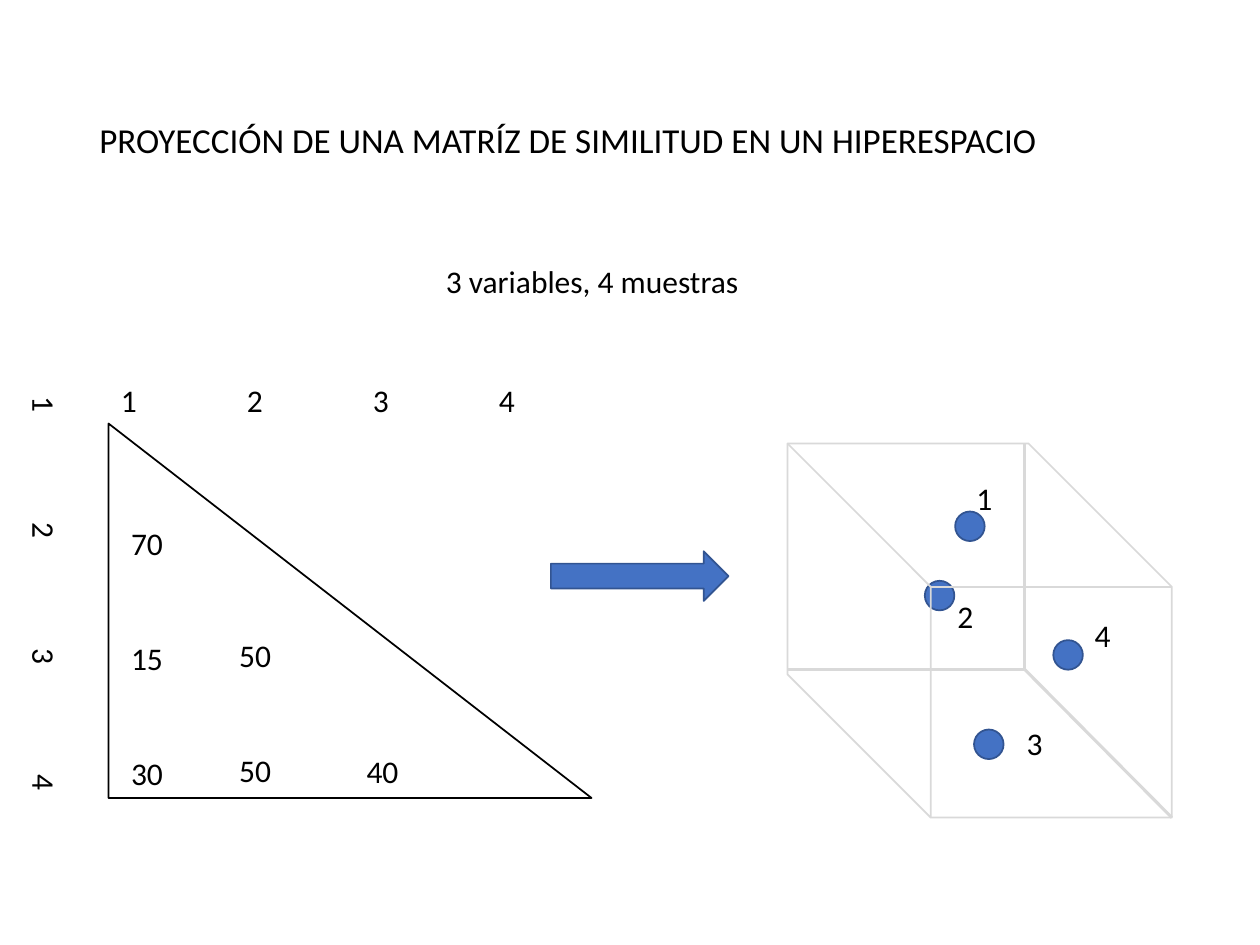
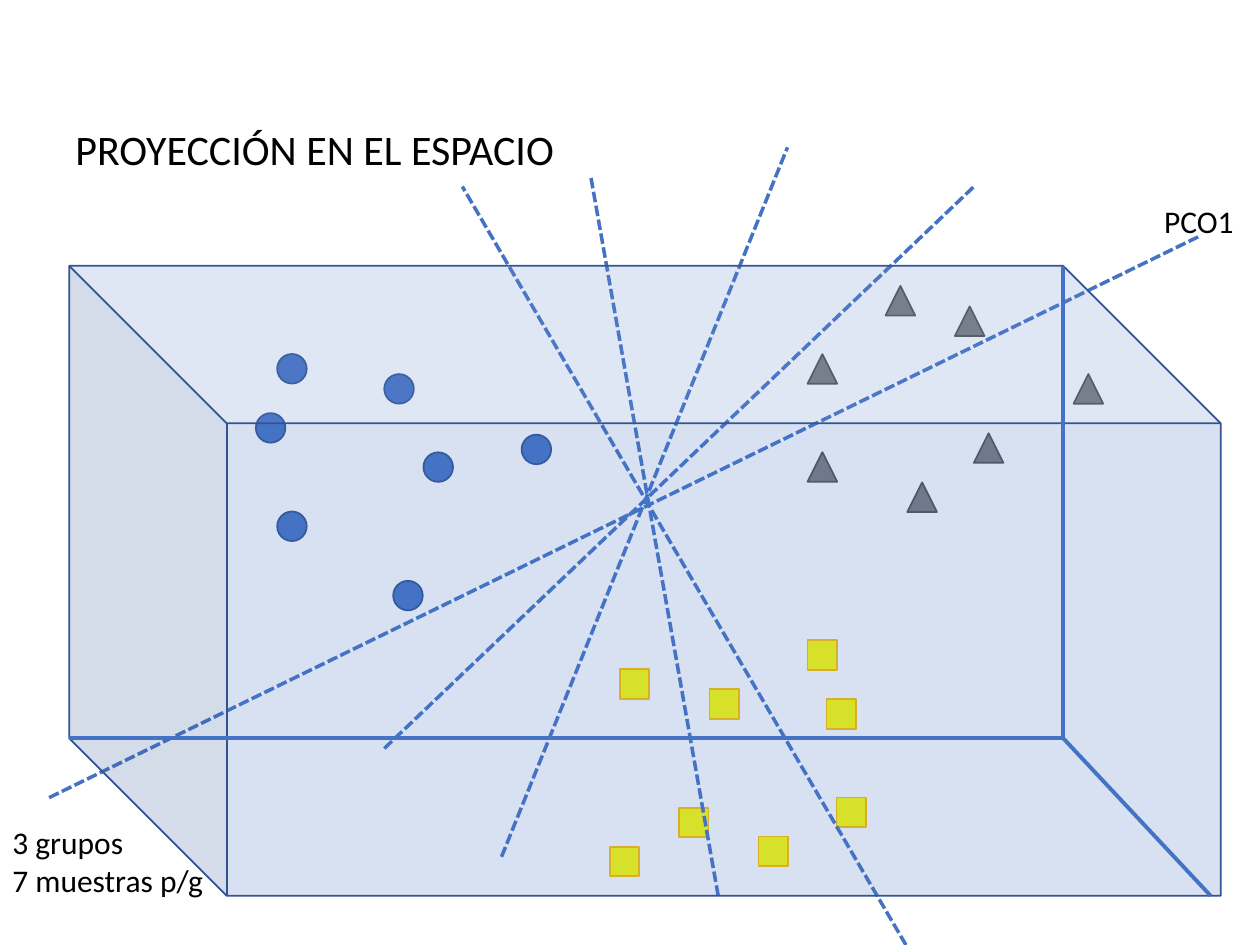
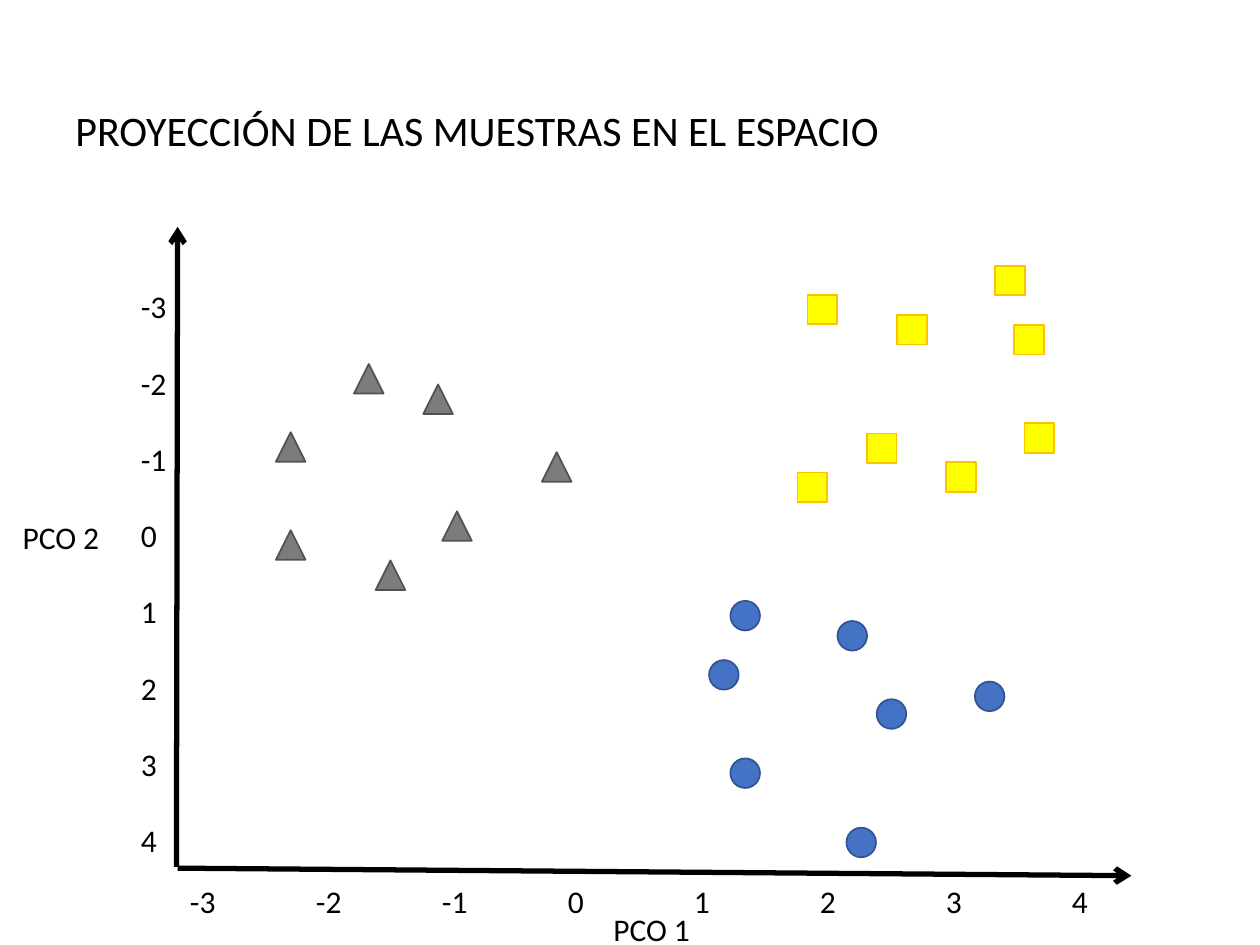
from lxml import etree
from pptx import Presentation
from pptx.dml.color import RGBColor
from pptx.enum.dml import MSO_LINE
from pptx.enum.shapes import MSO_CONNECTOR, MSO_SHAPE
from pptx.enum.text import MSO_ANCHOR
from pptx.oxml.ns import qn
from pptx.util import Pt

STRAIGHT = MSO_CONNECTOR.STRAIGHT
CIRCLE, TRIANGLE, SQUARE = MSO_SHAPE.OVAL, MSO_SHAPE.ISOSCELES_TRIANGLE, MSO_SHAPE.RECTANGLE
RIGHT_TRIANGLE, RIGHT_ARROW, CUBE = MSO_SHAPE.RIGHT_TRIANGLE, MSO_SHAPE.RIGHT_ARROW, MSO_SHAPE.CUBE
DASH = MSO_LINE.SQUARE_DOT
MIDDLE = MSO_ANCHOR.MIDDLE

BLACK = RGBColor(0x00, 0x00, 0x00)
BLUE = RGBColor(0x44, 0x72, 0xC4)
DARK_BLUE = RGBColor(0x32, 0x54, 0x91)
GRAY = RGBColor(0x7C, 0x7C, 0x7C)
DARK_GRAY = RGBColor(0x52, 0x52, 0x52)
LIGHT_GRAY = RGBColor(0xD9, 0xD9, 0xD9)
YELLOW = RGBColor(0xFF, 0xFF, 0x00)
AMBER = RGBColor(0xFF, 0xC0, 0x00)

FONT = "Calibri"
BODY = 18
LINE_H = 22  # height of one line of body text
LABEL_H = 29
MARKER = 16.9
TAB = 72

# Sample groups: shape, fill, outline, and marker offsets within the group
CIRCLES = (CIRCLE, BLUE, DARK_BLUE, [
    (0, 33.8), (73.4, 11.5), (12.2, 90), (95.8, 56.2), (12.2, 0), (78.5, 129.6), (151.9, 46.1)])
TRIANGLES = (TRIANGLE, GRAY, DARK_GRAY, [
    (44.6, 0), (84.2, 11.7), (0, 39), (57, 112.3), (152, 50.4), (0, 95), (95, 84.2)])
SQUARES = (SQUARE, YELLOW, AMBER, [
    (5.6, 16.6), (0, 118.1), (56.9, 28.1), (129.6, 90), (113, 0), (85, 112.3), (39.6, 95.8),
    (123.8, 33.8)])


def add_text(s, x, y, w, h, lines, size=BODY, gap=0, tabs=0):
    """Text box with one paragraph per line, gap points apart."""
    sp = s.shapes.add_textbox(Pt(x), Pt(y), Pt(w), Pt(h))
    tf = sp.text_frame
    tf.word_wrap = True
    for i, line in enumerate(lines):
        p = tf.paragraphs[0] if i == 0 else tf.add_paragraph()
        if i and gap:
            p.space_before = Pt(gap)
        if tabs:
            tab_list = etree.SubElement(p._p.get_or_add_pPr(), qn("a:tabLst"))
            for n in range(1, tabs + 1):
                etree.SubElement(tab_list, qn("a:tab"), pos=str(Pt(n * TAB)), algn="l")
        r = p.add_run()
        r.text = line
        r.font.name, r.font.size = FONT, Pt(size)
        r.font.color.rgb = BLACK
    return sp


def add_title(s, x, y, w, h, text, size=24):
    tf = add_text(s, x, y, w, h, [text], size).text_frame
    tf.vertical_anchor = MIDDLE
    tf.paragraphs[0].line_spacing = 0.9


def add_scale(s, x, y, w, labels):
    """Labels spaced one tab stop apart."""
    return add_text(s, x, y, w, LABEL_H, ["\t".join(labels)], tabs=len(labels) - 1)


def add_shape(s, kind, x, y, w, h, fill, line):
    sp = s.shapes.add_shape(kind, Pt(x), Pt(y), Pt(w), Pt(h))
    sp.shadow.inherit = False
    if fill is None:
        sp.fill.background()
    else:
        sp.fill.solid()
        sp.fill.fore_color.rgb = fill
    sp.line.color.rgb = line
    sp.line.width = Pt(1)
    return sp


def add_line(s, x1, y1, x2, y2, color, width, dash=None, arrow=False):
    c = s.shapes.add_connector(STRAIGHT, Pt(x1), Pt(y1), Pt(x2), Pt(y2))
    c.line.color.rgb = color
    c.line.width = Pt(width)
    if dash:
        c.line.dash_style = dash
    if arrow:
        etree.SubElement(c.line._get_or_add_ln(), qn("a:tailEnd"), type="arrow")
    etree.SubElement(c._element.spPr, qn("a:effectLst"))


def add_group(s, x, y, group):
    kind, fill, line, offsets = group
    for dx, dy in offsets:
        add_shape(s, kind, x + dx, y + dy, MARKER, MARKER, fill, line)


def add_back_edges(s, corner, ends, color, width):
    """Hidden edges of a cube, from its back corner."""
    for end in ends:
        add_line(s, *corner, *end, color, width)


def similarity_matrix(s, x, y, w, h):
    add_shape(s, RIGHT_TRIANGLE, x, y, w, h, None, BLACK)
    # Sample numbers across the top and down the side
    samples = ["1", "2", "3", "4"]
    add_scale(s, x, y - 28, 270, samples)
    add_scale(s, x - 171.4, y + 98, 270, samples).rotation = 90
    # Similarities, one column each
    columns = [(5.8, 54, ["70", "15", "30"]), (67.6, 118, ["50", "50"]), (140.4, 184.4, ["40"])]
    for dx, dy, values in columns:
        add_text(s, x + dx, y + dy, 50, h - dy, values, gap=2 * LINE_H)


def sample_cube(s, x, y, w, h):
    # Marker position, then label position
    samples = [(95.8, 38.9, 100.8, 16.6), (78.5, 78.5, 90, 84.3),
               (106.6, 163.5, 129.6, 157), (151.9, 112.4, 168.5, 95.1)]
    for n, (mx, my, lx, ly) in enumerate(samples, 1):
        add_shape(s, CIRCLE, x + mx, y + my, MARKER, MARKER, BLUE, DARK_BLUE)
        add_text(s, x + lx, y + ly, MARKER, LABEL_H, [str(n)])
    # The cube is turned, so its width and height swap about the centre
    cube = add_shape(s, CUBE, x + (w - h) / 2, y + (h - w) / 2, h, w, None, LIGHT_GRAY)
    cube.rotation = 270
    cube.adjustments[0] = 0.383
    cx, cy = x + 135.4, y + 129
    add_back_edges(s, (cx, cy), [(x, cy), (cx, y), (x + w, y + h)], LIGHT_GRAY, 1.75)


def pco_axes(s, x, y):
    axes = [(-11.5, 303.9, 646.6, -17.3), (478.1, 388.1, 224.6, -45.3),
            (370.8, 360, 298.1, -50.4), (247, 337.7, 410.4, -67.7), (180, 275.8, 517, -45.3)]
    for x1, y1, x2, y2 in axes:
        add_line(s, x + x1, y + y1, x + x2, y + y2, BLUE, 2, dash=DASH)
    add_text(s, x + 618.5, y - 40.3, 84, LABEL_H, ["PCO1"])


def space_box(s, x, y, w, h):
    cube = add_shape(s, CUBE, x, y, w, h, BLUE, DARK_BLUE)
    cube._element.spPr.xfrm.set("flipH", "1")
    color = cube._element.spPr.find(qn("a:solidFill"))[0]
    etree.SubElement(color, qn("a:alpha"), val="21000")
    depth = h / 4
    cx, cy = x + w - depth, y + h - depth
    add_back_edges(s, (cx, cy), [(x, cy), (cx, y), (x + w - 5.8, y + h)], BLUE, 2.25)


def pco_plot(s, x, y, w, h):
    # Sample groups
    add_group(s, x + 303.7, y + 213.8, CIRCLES)
    add_group(s, x + 56.2, y + 78.4, TRIANGLES)
    add_group(s, x + 354.3, y + 22.3, SQUARES)
    # Axes
    add_line(s, x - 0.7, y + h - 0.7, x, y, BLACK, 3, arrow=True)
    add_line(s, x, y + h, x + w, y + h + 4.3, BLACK, 3, arrow=True)
    # Scales and axis names
    ticks = [str(n) for n in range(-3, 5)]
    add_scale(s, x, y + h + 4.3, 528.5, ticks)
    add_text(s, x - 28.1, y + 31, 39.6, 334, ticks, gap=LINE_H)
    add_text(s, x + 241.9, y + h + 20.1, 152, LABEL_H, ["PCO 1"])
    add_text(s, x - 95.7, y + 162.7, 152, LABEL_H, ["PCO 2"])


def matrix_slide(s):
    add_title(s, 49.7, 28.8, 620.6, 104.4,
              "PROYECCIÓN DE UNA MATRÍZ DE SIMILITUD EN UN HIPERESPACIO", 20)
    similarity_matrix(s, 62, 242, 276, 214)
    add_shape(s, RIGHT_ARROW, 314.8, 315, 101.5, 28.4, BLUE, DARK_BLUE)
    sample_cube(s, 450, 253.4, 219.6, 213.8)
    add_text(s, 247.7, 146.2, 326, LABEL_H, ["3 variables, 4 muestras"])


def space_slide(s):
    add_title(s, 36, 44.6, 648, 84.4, "PROYECCIÓN EN EL ESPACIO")
    add_text(s, 0, 466.6, 129.6, 51, ["3 grupos", "7 muestras p/g"])
    x, y = 39.6, 151.9
    add_group(s, x + 106.6, y + 50.4, CIRCLES)
    add_group(s, x + 421.9, y + 11.5, TRIANGLES)
    add_group(s, x + 308.9, y + 213.9, SQUARES)
    pco_axes(s, x, y)
    space_box(s, x, y, 658, 360)


def plot_slide(s):
    add_title(s, 36, 33.8, 648, 84.4, "PROYECCIÓN DE LAS MUESTRAS EN EL ESPACIO")
    pco_plot(s, 101.5, 129.6, 545, 366.5)


def main():
    prs = Presentation()
    prs.slide_width, prs.slide_height = Pt(720), Pt(540)
    for build in (matrix_slide, space_slide, plot_slide):
        build(prs.slides.add_slide(prs.slide_layouts[6]))
    prs.save("out.pptx")


if __name__ == "__main__":
    main()
